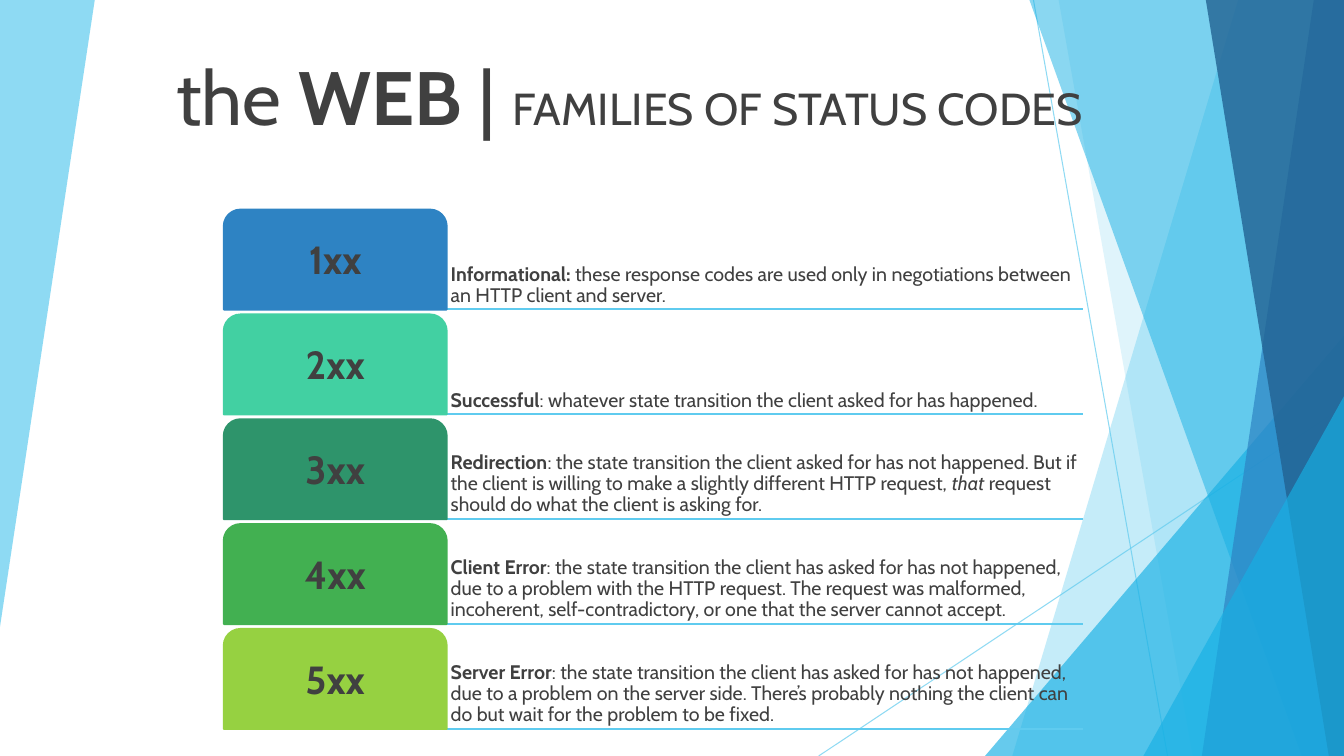
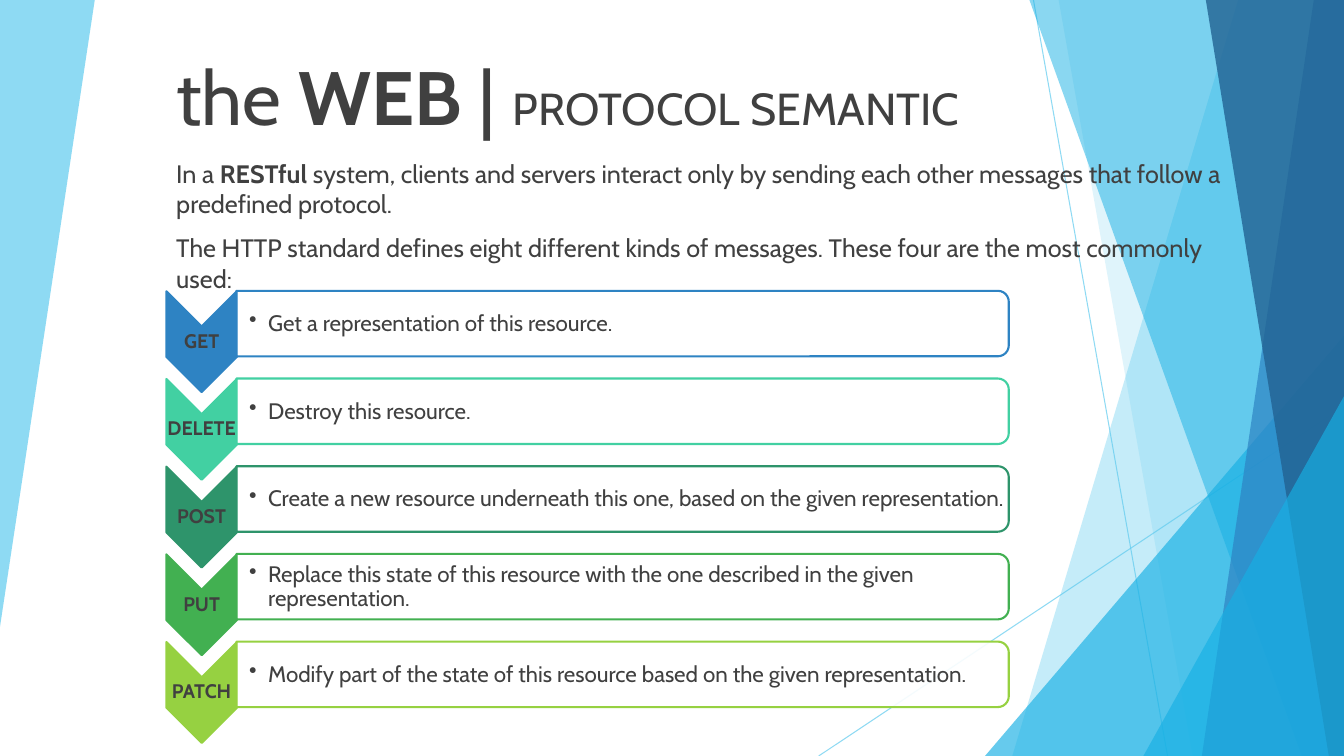
from lxml.etree import SubElement
from pptx import Presentation
from pptx.dml.color import RGBColor
from pptx.enum.shapes import MSO_CONNECTOR as Connector, MSO_SHAPE as Preset
from pptx.enum.text import MSO_ANCHOR as Anchor, PP_ALIGN as Align
from pptx.oxml.ns import qn
from pptx.util import Inches, Pt

FONT = "Cabin"
COLOURS = {
    "text": "404040", "white": "FFFFFF", "sky": "5FCBEF", "cyan": "17B0E4",
    "blue": "2E83C3", "navy": "226292", "mint": "42D0A2", "pine": "2E946B",
    "green": "42B051", "lime": "96D141",
}
ROW_COLOURS = ["blue", "mint", "pine", "green", "lime"]

BACKDROP = [
    ("polygon", [(0, 0), (0.94, 0), (0, 6.22)], "sky", 70),
    ("line", [(10.25, 0), (11.58, 7.5)], "sky", 70),
    ("line", [(13.33, 4.03), (8.12, 7.5)], "sky", 70),
    ("polygon", [(12.28, 0), (13.33, 0), (13.33, 7.5), (10.04, 7.5)], "sky", 36),
    ("polygon", [(10.5, 0), (13.33, 0), (13.33, 7.5), (11.83, 7.5)], "sky", 20),
    ("triangle", [(9.77, 3.33), (3.56, 4.17)], "cyan", 66),
    ("polygon", [(10.21, 0), (13.33, 0), (13.33, 7.5), (12.91, 7.5)], "cyan", 50),
    ("polygon", [(13.03, 0), (13.33, 0), (13.33, 7.5), (11.92, 7.5)], "blue", 70),
    ("polygon", [(11.96, 0), (13.33, 0), (13.33, 7.5), (13.18, 7.5)], "navy", 80),
    ("triangle", [(11.34, 3.93), (1.99, 3.57)], "cyan", 66),
]

FAMILIES = [
    ("1xx", [("Informational: ", "b"),
             ("these response codes are used only in negotiations between an HTTP client "
              "and server.", "")]),
    ("2xx", [("Successful", "b"),
             (": whatever state transition the client asked for has happened.", "")]),
    ("3xx", [("Redirection", "b"),
             (": the state transition the client asked for has not happened. But if the client "
              "is willing to make a slightly different HTTP request, ", ""),
             ("that", "i"),
             (" request should do what the client is asking for.", "")]),
    ("4xx", [("Client Error", "b"),
             (": the state transition the client has asked for has not happened, due to a "
              "problem with the HTTP request. The request was malformed, incoherent, "
              "self-contradictory, or one that the server cannot accept.", "")]),
    ("5xx", [("Server Error", "b"),
             (": the state transition the client has asked for has not happened, due to a "
              "problem on the server side. There’s probably nothing the client can do but "
              "wait for the problem to be fixed.", "")]),
]

INTRO = [
    [("In a ", ""), ("RESTful", "b"),
     (" system, clients and servers interact only by sending each other messages that follow "
      "a predefined protocol.", "")],
    [("The HTTP standard defines eight different kinds of messages. These four are the most "
      "commonly used:", "")],
]

METHODS = [
    ("GET", "Get a representation of this resource."),
    ("DELETE", "Destroy this resource."),
    ("POST", "Create a new resource underneath this one, based on the given representation."),
    ("PUT", "Replace this state of this resource with the one described in the given "
            "representation."),
    ("PATCH", "Modify part of the state of this resource based on the given representation."),
]


def paint(shape, fill=None, line=None, width=1.5, alpha=100):
    if fill:
        shape.fill.solid()
        shape.fill.fore_color.rgb = RGBColor.from_string(COLOURS[fill])
        shape.shadow.inherit = False
    if line:
        shape.line.color.rgb = RGBColor.from_string(COLOURS[line])
        shape.line.width = Pt(width)
    else:
        shape.line.fill.background()
    properties = shape.element.spPr
    if not fill:
        SubElement(properties, qn("a:effectLst"))
    if alpha < 100:
        colour = properties.find(".//" + qn("a:srgbClr"))
        SubElement(colour, qn("a:alpha")).set("val", str(alpha * 1000))


def write(box, paragraphs, size, anchor=Anchor.MIDDLE, align=Align.LEFT,
          margins=(0.1, 0.05, 0.1, 0.05), spacing=0.9, before=0):
    frame = box.text_frame
    frame.word_wrap = True
    frame.vertical_anchor = anchor
    frame.margin_left, frame.margin_top, frame.margin_right, frame.margin_bottom = map(Inches, margins)
    for index, spans in enumerate(paragraphs):
        para = frame.add_paragraph() if index else frame.paragraphs[0]
        para.alignment = align
        para.line_spacing = spacing
        para.space_before = Pt(before)
        for text, style in spans:
            span = para.add_run()
            span.text = text
            span.font.name = FONT
            span.font.size = Pt(size)
            span.font.bold = style == "b"
            span.font.italic = style == "i"
            span.font.color.rgb = RGBColor.from_string(COLOURS["text"])
    return frame.paragraphs[0]


deck = Presentation()
deck.slide_width = Inches(13.33)
deck.slide_height = Inches(7.5)

pages = []
for topic in ["FAMILIES OF STATUS CODES", "PROTOCOL SEMANTIC"]:
    page = deck.slides.add_slide(deck.slide_layouts[6])
    pages.append(page)
    for kind, points, colour, alpha in BACKDROP:
        corners = [(Inches(x), Inches(y)) for x, y in points]
        if kind == "line":
            ray = page.shapes.add_connector(Connector.STRAIGHT, *corners[0], *corners[1])
            paint(ray, line=colour, width=0.75, alpha=alpha)
            continue
        if kind == "triangle":
            facet = page.shapes.add_shape(Preset.ISOSCELES_TRIANGLE, *corners[0], *corners[1])
            facet.adjustments[0] = 1
        else:
            outline = page.shapes.build_freeform(*corners[0])
            outline.add_line_segments(corners[1:])
            facet = outline.convert_to_shape()
        paint(facet, fill=colour, alpha=alpha)
    title = page.shapes.add_textbox(Inches(1.65), Inches(0.38), Inches(10.44), Inches(1.06))
    heading = write(title, [[("the", ""), (" WEB ", "b"), ("| ", ""), (topic, "")]], 54,
                    anchor=Anchor.BOTTOM, spacing=1)
    heading.runs[-1].font.size = Pt(32)

codes_page, methods_page = pages

for row, ((code, meaning), colour) in enumerate(zip(FAMILIES, ROW_COLOURS)):
    top = 2.08 + 1.04 * row
    base = Inches(top + 0.99)
    rule = codes_page.shapes.add_connector(Connector.STRAIGHT, Inches(2.22), base, Inches(10.74), base)
    paint(rule, line="sky")
    tab = codes_page.shapes.add_shape(Preset.ROUND_2_SAME_RECTANGLE, Inches(2.22), Inches(top),
                                      Inches(2.21), Inches(0.99))
    paint(tab, fill=colour, line=colour)
    write(tab, [[(code, "b")]], 28, align=Align.CENTER, margins=[0.06] * 4)
    box = codes_page.shapes.add_textbox(Inches(4.44), Inches(top), Inches(6.3), Inches(0.99))
    write(box, [meaning], 14, anchor=Anchor.BOTTOM, margins=[0.03] * 4)

intro = methods_page.shapes.add_textbox(Inches(1.65), Inches(1.52), Inches(10.64), Inches(1.36))
write(intro, INTRO, 18, anchor=Anchor.TOP, spacing=1, before=10)

for row, ((method, effect), colour) in enumerate(zip(METHODS, ROW_COLOURS)):
    top = 2.89 + 0.87 * row
    chevron = methods_page.shapes.add_shape(Preset.CHEVRON, Inches(1.5), Inches(top + 0.15),
                                            Inches(1), Inches(0.7))
    chevron.rotation = 90
    paint(chevron, fill=colour, line=colour)
    label = methods_page.shapes.add_textbox(Inches(1.65), Inches(top + 0.35), Inches(0.7), Inches(0.3))
    write(label, [[(method, "b")]], 14, align=Align.CENTER, margins=[0.01] * 4)
    panel = methods_page.shapes.add_shape(Preset.ROUND_2_SAME_RECTANGLE, Inches(5.85),
                                          Inches(top - 3.51), Inches(0.65), Inches(7.66))
    panel.rotation = 90
    paint(panel, fill="white", line=colour, alpha=90)
    box = methods_page.shapes.add_textbox(Inches(2.35), Inches(top + 0.03), Inches(7.63), Inches(0.59))
    para = write(box, [[(effect, "")]], 16, margins=(0.12, 0.01, 0.01, 0.01))
    bullet = para._p.get_or_add_pPr()
    bullet.set("marL", str(Inches(0.19)))
    bullet.set("indent", str(-Inches(0.19)))
    SubElement(bullet, qn("a:buChar")).set("char", "•")

deck.save("out.pptx")
